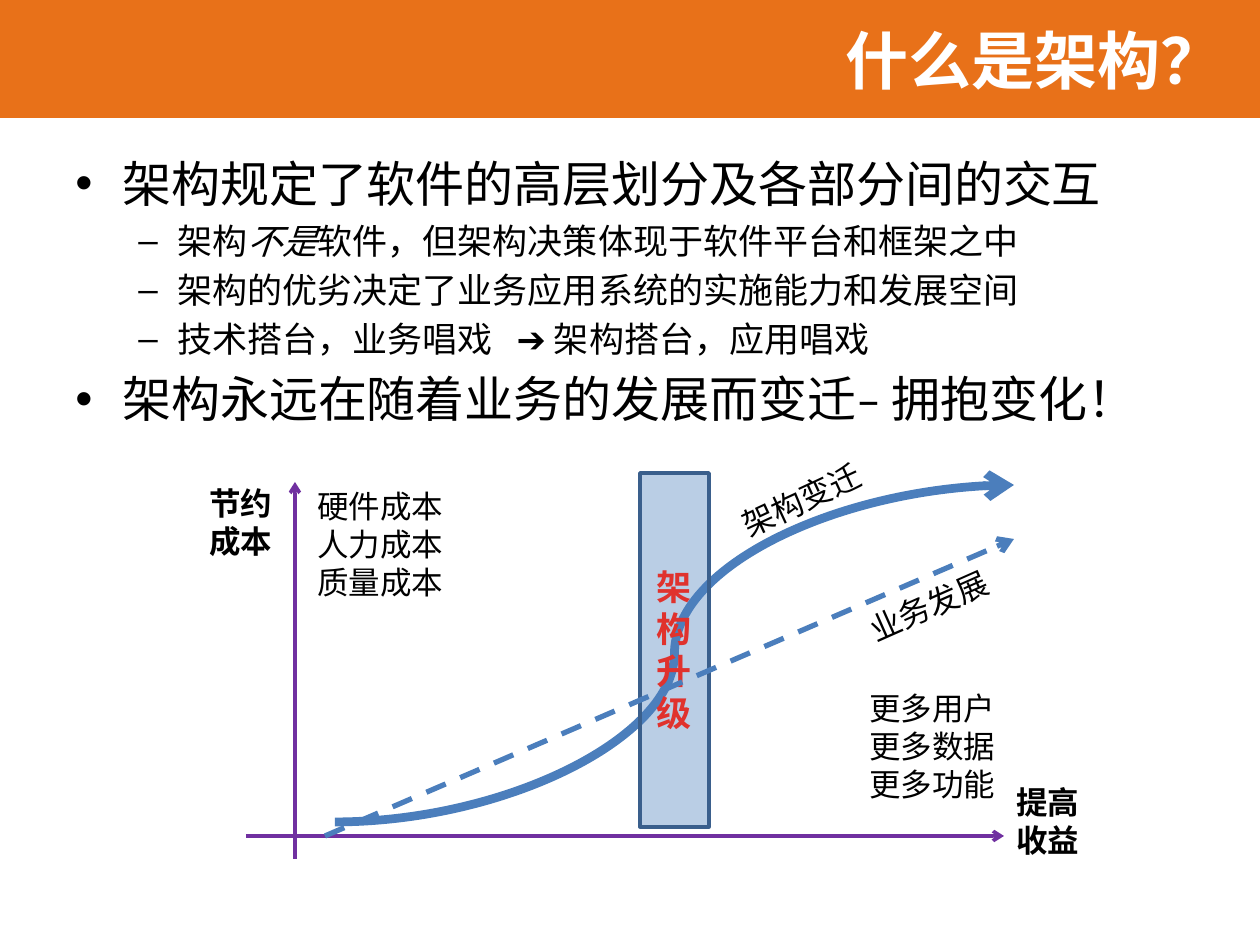
import pptx
import pptx.dml.color
import pptx.enum.dml
import pptx.enum.lang
import pptx.enum.shapes
import pptx.enum.text
import pptx.oxml
import pptx.oxml.ns
import pptx.util
from lxml import etree

EMU_PER_PX = 914400 / 126
ALIGN = pptx.enum.text.PP_ALIGN
ANCHOR = pptx.enum.text.MSO_ANCHOR
CONNECTOR = pptx.enum.shapes.MSO_CONNECTOR
RECT = pptx.enum.shapes.MSO_SHAPE.RECTANGLE

ORANGE, BLUE, PURPLE = "E87119", "4B7EBC", "7030A0"
BLACK, WHITE, RED = "000000", "FFFFFF", "E0322D"

# bullet, left margin, hanging indent, size
LEVELS = [("•", 47, 47, 28), ("–", 102, 39, 20)]
POINTS = [
    (0, ["架构规定了软件的高层划分及各部分间的交互"]),
    (1, ["架构", "不是", "软件，但架构决策体现于软件平台和框架之中"]),
    (1, ["架构的优劣决定了业务应用系统的实施能力和发展空间"]),
    (1, ["技术搭台，业务唱戏   ➔ 架构搭台，应用唱戏"]),
    (0, ["架构永远在随着业务的发展而变迁– 拥抱变化！"]),
]


def px(*values):
    return [pptx.util.Emu(round(v * EMU_PER_PX)) for v in values]


def rgb(code):
    return pptx.dml.color.RGBColor.from_string(code)


def sub(parent, tag, **attrs):
    return etree.SubElement(parent, pptx.oxml.ns.qn(tag), attrs)


def add_run(p, text, size, color=BLACK, font="Arial", ea="Calibri", bold=False):
    r = p.add_run()
    r.text = text
    r.font.size = pptx.util.Pt(size)
    r.font.name = font
    r.font.bold = bold
    r.font.language_id = pptx.enum.lang.MSO_LANGUAGE_ID.SIMPLIFIED_CHINESE
    r.font.color.rgb = rgb(color)
    sub(r.font._element, "a:ea", typeface=ea)
    return r


def add_rect(s, box, fill, line=None):
    sp = s.shapes.add_shape(RECT, *px(*box))
    sp.shadow.inherit = False
    sp.fill.solid()
    sp.fill.fore_color.rgb = rgb(fill)
    if line:
        sp.line.color.rgb = rgb(line)
        sp.line.width = pptx.util.Pt(2)
    else:
        sp.line.fill.background()
    return sp


def add_label(s, box, lines, bold=False, rotation=0):
    sp = s.shapes.add_textbox(*px(*box))
    sp.rotation = rotation
    tf = sp.text_frame
    tf.word_wrap = True
    for i, line in enumerate(lines):
        p = tf.add_paragraph() if i else tf.paragraphs[0]
        add_run(p, line, 18, bold=bold)


def add_arrow(s, start, end, color, width, kind=CONNECTOR.STRAIGHT, dashed=False):
    cxn = s.shapes.add_connector(kind, *px(*start, *end))
    cxn.line.color.rgb = rgb(color)
    cxn.line.width = pptx.util.Pt(width)
    if dashed:
        cxn.line.dash_style = pptx.enum.dml.MSO_LINE.DASH
    sub(cxn.line._get_or_add_ln(), "a:tailEnd", type="arrow")
    sub(cxn._element.spPr, "a:effectLst")


def add_title(s):
    band = add_rect(s, (0, 0, 1260, 118), ORANGE)
    s.shapes._spTree.insert(2, band._element)  # behind the title
    title = s.shapes.title
    title.left, title.top, title.width, title.height = px(423, 0, 813, 118)
    tf = title.text_frame
    tf.vertical_anchor = ANCHOR.MIDDLE
    p = tf.paragraphs[0]
    p.alignment = ALIGN.RIGHT
    noto = "Noto Sans CJK SC"
    add_run(p, "什么是架构？", 36, WHITE, noto, noto, bold=True)


def add_points(s):
    tf = s.shapes.add_textbox(*px(63, 147, 1134, 697)).text_frame
    tf.word_wrap = True
    for i, (level, texts) in enumerate(POINTS):
        bullet, margin, hanging, size = LEVELS[level]
        p = tf.add_paragraph() if i else tf.paragraphs[0]
        p.level = level
        p.space_before = pptx.util.Pt(size * 0.2)
        pPr = p._p.get_or_add_pPr()
        left, indent = px(margin, -hanging)
        pPr.set("marL", str(left))
        pPr.set("indent", str(indent))
        sub(pPr, "a:buFont", typeface="Arial")
        sub(pPr, "a:buChar", char=bullet)
        for text in texts:
            r = add_run(p, text, size, font="Calibri")
            r.font.italic = text == "不是"


def add_upgrade_bar(s):
    bar = add_rect(s, (640, 473, 69, 354), "4F81BD", "3A5F8C")
    color = bar.fill._xPr.find(".//" + pptx.oxml.ns.qn("a:srgbClr"))
    sub(color, "a:alpha", val="39000")
    tf = bar.text_frame
    tf.word_wrap = True
    tf.vertical_anchor = ANCHOR.MIDDLE
    p = tf.paragraphs[0]
    p.alignment = ALIGN.CENTER
    r = add_run(p, "架构升级", 20, RED, "Calibri", bold=True)
    r.font._element.set("spc", "50")


def add_diagram(s):
    add_label(s, (726, 473, 157, 50), ["架构变迁"], rotation=335)
    add_arrow(s, (335, 822), (1014, 485), BLUE, 5, CONNECTOR.CURVE)
    add_arrow(s, (246, 836), (1004, 836), PURPLE, 2)
    add_arrow(s, (295, 859), (295, 482), PURPLE, 2)
    add_upgrade_bar(s)
    add_label(s, (857, 683, 157, 127), ["更多用户", "更多数据", "更多功能"])
    add_label(s, (305, 481, 157, 127), ["硬件成本", "人力成本", "质量成本"])
    add_label(s, (1004, 777, 108, 89), ["提高收益"], bold=True)
    add_label(s, (197, 478, 108, 89), ["节约成本"], bold=True)
    add_arrow(s, (325, 836), (1014, 539), BLUE, 3, dashed=True)
    add_label(s, (853, 579, 157, 50), ["业务发展"], rotation=336)


def main():
    prs = pptx.Presentation()
    prs.slide_width, prs.slide_height = px(1260, 945)
    s = prs.slides.add_slide(prs.slide_layouts[5])
    add_title(s)
    add_points(s)
    add_diagram(s)
    prs.save("out.pptx")


if __name__ == "__main__":
    main()
